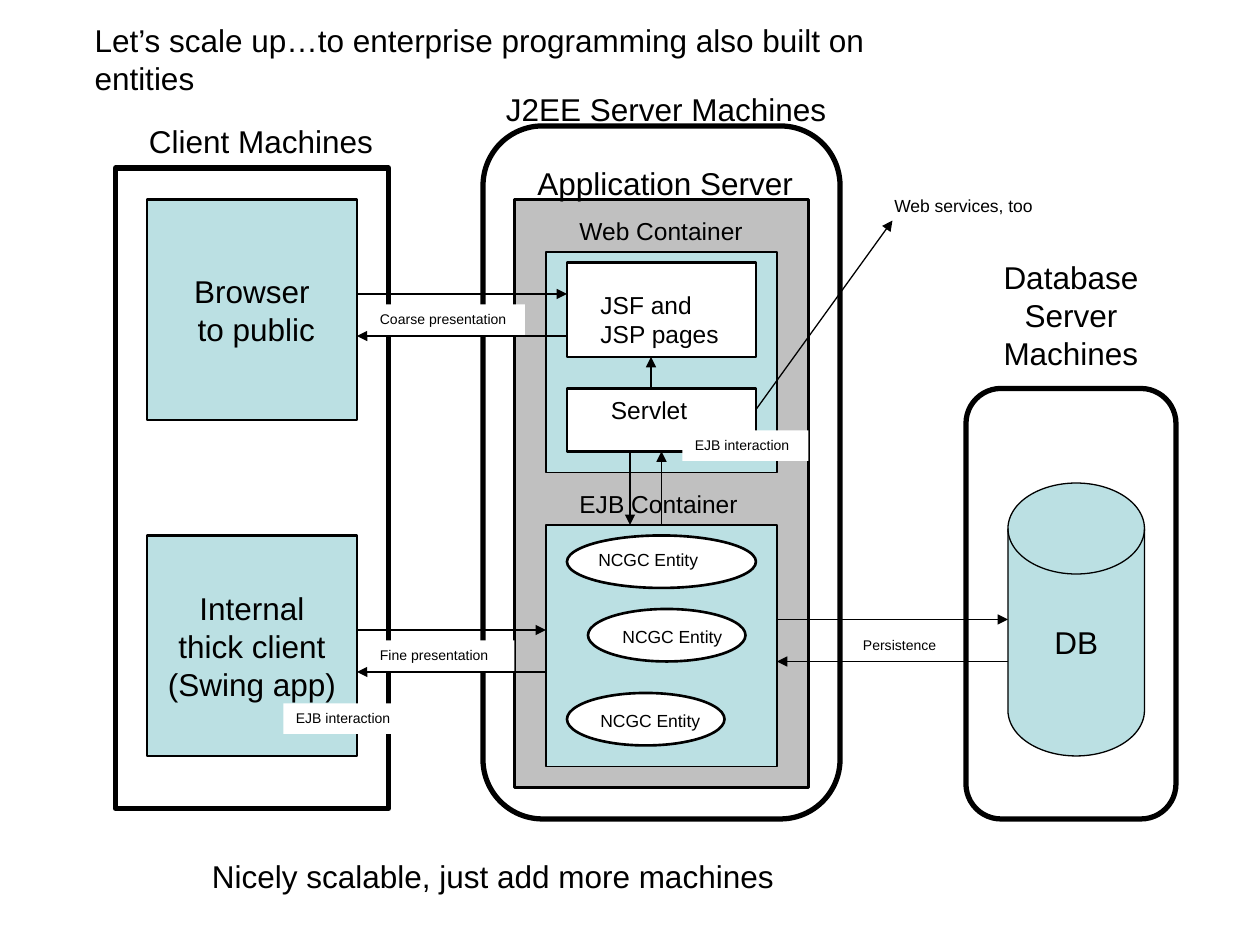
from lxml import etree
from pptx import Presentation, util as u
from pptx.dml.color import RGBColor
from pptx.enum import shapes, text
from pptx.oxml.ns import qn

BLACK = RGBColor(0x00, 0x00, 0x00)
WHITE = RGBColor(0xFF, 0xFF, 0xFF)
GRAY = RGBColor(0xC0, 0xC0, 0xC0)
TEAL = RGBColor(0xBB, 0xE0, 0xE3)
RECT = shapes.MSO_SHAPE.RECTANGLE
ROUNDED = shapes.MSO_SHAPE.ROUNDED_RECTANGLE
OVAL = shapes.MSO_SHAPE.OVAL
DISK = shapes.MSO_SHAPE.FLOWCHART_MAGNETIC_DISK
LEFT, CENTER = text.PP_ALIGN.LEFT, text.PP_ALIGN.CENTER
TOP, MIDDLE = text.MSO_ANCHOR.TOP, text.MSO_ANCHOR.MIDDLE


class Diagram:
    FONT = "Arial"
    CELL = u.Inches(1) / 12
    HEIGHTS = {18: 4.8, 14: 4.1, 10: 3.2, 8: 2.9}

    def __init__(self, prs):
        self.s = prs.slides.add_slide(prs.slide_layouts[5])

    def grid(self, *cells):
        return [u.Emu(round(c * self.CELL)) for c in cells]

    def set_text(self, sp, words, size, align=LEFT, anchor=TOP, wrap=True):
        tf = sp.text_frame
        tf.text = words
        tf.word_wrap = wrap
        tf.auto_size = text.MSO_AUTO_SIZE.NONE
        tf.vertical_anchor = anchor
        for p in tf.paragraphs:
            p.alignment = align
            p.font.name = self.FONT
            p.font.size = u.Pt(size)
            p.font.bold = False
            p.font.color.rgb = BLACK

    def title(self, words, col, row, cols):
        sp = self.s.shapes.title
        sp.left, sp.top, sp.width, sp.height = self.grid(col, row, cols, self.HEIGHTS[18])
        self.set_text(sp, words, 18, wrap=False)

    def box(self, kind, col, row, cols, rows, fill=WHITE, line=1.5, words=None):
        sp = self.s.shapes.add_shape(kind, *self.grid(col, row, cols, rows))
        sp.shadow.inherit = False
        sp.fill.solid()
        sp.fill.fore_color.rgb = fill
        if line:
            sp.line.color.rgb = BLACK
            sp.line.width = u.Pt(line)
        else:
            sp.line.fill.background()
        if words:
            self.set_text(sp, words, 18, CENTER, MIDDLE, False)
        return sp

    def caption(self, words, size, col, row, cols, lines=1, align=LEFT, wrap=True):
        rows = self.HEIGHTS[size] + (lines - 1) * size / 5
        sp = self.s.shapes.add_textbox(*self.grid(col, row, cols, rows))
        self.set_text(sp, words, size, align, wrap=wrap)

    def label(self, words, col, row, cols):
        sp = self.box(RECT, col, row, cols, self.HEIGHTS[8], line=None)
        self.set_text(sp, words, 8)

    def arrow(self, col1, row1, col2, row2):
        c = self.s.shapes.add_connector(
            shapes.MSO_CONNECTOR.STRAIGHT, *self.grid(col1, row1, col2, row2))
        c.line.color.rgb = BLACK
        c.line.width = u.Pt(0.75)
        spPr = c._element.spPr
        etree.SubElement(spPr.find(qn("a:ln")), qn("a:tailEnd"), type="triangle")
        etree.SubElement(spPr, qn("a:effectLst"))
        return c

    def exchange(self, col1, col2, row, gap):
        self.arrow(col1, row, col2, row)
        self.arrow(col2, row + gap, col1, row + gap)


def main():
    prs = Presentation()
    prs.slide_width, prs.slide_height = u.Inches(10), u.Inches(7.5)
    d = Diagram(prs)
    d.title("Let’s scale up…to enterprise programming also built on entities", 7.8, 1.4, 86)

    d.box(ROUNDED, 46, 12, 34, 66, line=3)
    d.box(ROUNDED, 92, 37, 20, 41, line=3)
    d.box(RECT, 11, 16, 26, 61, line=3)
    d.caption("Client Machines", 18, 13, 11, 24)
    d.caption("J2EE Server Machines", 18, 47, 8, 34)
    d.caption("Database Server Machines", 18, 93, 24, 18, 3, CENTER)

    d.box(RECT, 49, 19, 28, 56, GRAY)
    d.caption("Application Server", 18, 50, 15, 27)
    d.box(RECT, 52, 24, 22, 21, TEAL, 0.75)
    ejb = d.box(RECT, 52, 50, 22, 23, TEAL, 0.75)
    d.caption("Web Container", 14, 54, 20, 22)
    d.caption("EJB Container", 14, 54, 46, 21)
    d.box(RECT, 54, 25, 18, 9)
    servlet = d.box(RECT, 54, 37, 18, 6)
    d.caption("JSF and JSP pages", 14, 56, 27, 15, 2)
    d.caption("Servlet", 14, 57, 37, 11.2)

    for col, row, cols, text_col, text_row in (
            (54, 51, 18, 55.8, 51.7), (56, 58, 15, 58.1, 59), (54, 66, 15, 56, 67)):
        d.box(OVAL, col, row, cols, 5)
        d.caption("NCGC Entity", 10, text_col, text_row, 11.9, wrap=False)

    d.box(RECT, 14, 19, 20, 21, TEAL, words="Browser\v to public")
    d.box(RECT, 14, 51, 20, 21, TEAL, words="Internal\vthick client\n(Swing app)")
    d.exchange(34, 54, 28, 4)
    d.exchange(34, 52, 60, 4)
    d.exchange(74, 96, 59, 4)
    d.box(DISK, 96, 46, 13, 26, TEAL, 0.75, "DB")

    d.arrow(62, 37, 62, 34)
    d.arrow(60, 43, 60, 50)
    call = d.arrow(63, 50, 63, 43)
    call.begin_connect(ejb, 0)
    call.end_connect(servlet, 2)

    for words, col, row, cols in (
            ("Coarse presentation", 35, 29, 15), ("Persistence", 81, 60, 10),
            ("EJB interaction", 65, 41, 12), ("Fine presentation", 35, 61, 14),
            ("EJB interaction", 27, 67, 12)):
        d.label(words, col, row, cols)

    d.arrow(72, 39, 85, 21)
    d.caption("Web services, too", 10, 84, 18, 15.6, wrap=False)
    d.caption("Nicely scalable, just add more machines", 18, 19, 81, 67)
    prs.save("out.pptx")


if __name__ == "__main__":
    main()
